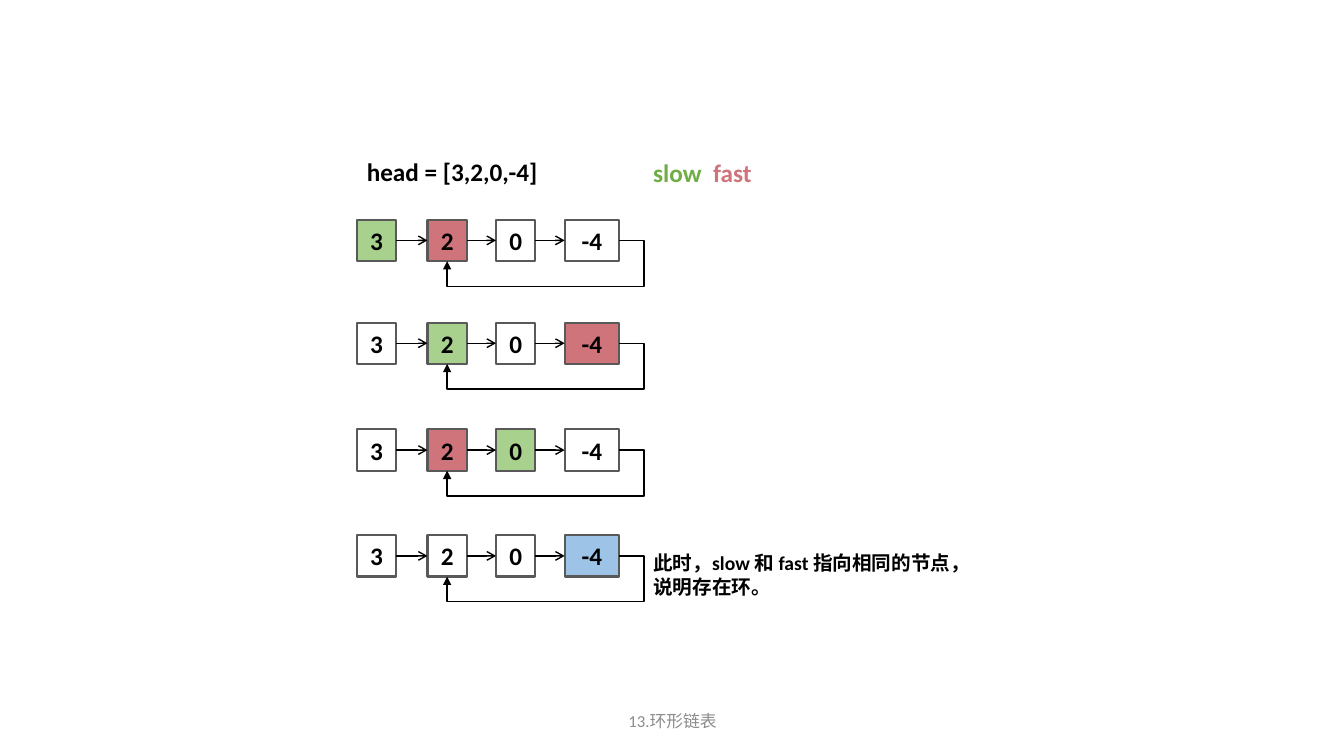
from pptx import Presentation
from pptx.dml.color import RGBColor
from pptx.enum.shapes import MSO_CONNECTOR, MSO_SHAPE
from pptx.enum.text import MSO_ANCHOR, PP_ALIGN
from pptx.oxml.ns import qn
from pptx.util import Inches, Pt
from lxml import etree

RECTANGLE = MSO_SHAPE.RECTANGLE
STRAIGHT, ELBOW = MSO_CONNECTOR.STRAIGHT, MSO_CONNECTOR.ELBOW
CENTER, LEFT = PP_ALIGN.CENTER, PP_ALIGN.LEFT
MIDDLE, TOP = MSO_ANCHOR.MIDDLE, MSO_ANCHOR.TOP
LEFT_SITE, BOTTOM_SITE, RIGHT_SITE = 1, 2, 3

COLORS = {
    "black": "000000", "white": "FFFFFF", "border": "595959", "footer": "8C8C8C",
    "slow": "A9D18E", "fast": "CF747A", "both": "9DC3E6", "slow text": "70AD47",
}

# Value, left and width of each list node
NODES = [("3", 3.54, 0.39), ("2", 4.24, 0.39), ("0", 4.92, 0.39), ("-4", 5.6, 0.54)]
NODE_HEIGHT = 0.41
# Top of each step and the marked nodes by position
STEPS = [
    (2.18, {0: "slow", 1: "fast"}),
    (3.2, {1: "slow", 3: "fast"}),
    (4.26, {1: "fast", 2: "slow"}),
    (5.31, {3: "both"}),
]
# Bends of the link that closes the ring
RING_BENDS = {"adj1": -14600, "adj2": 221800}


def color(name):
    return RGBColor.from_string(COLORS[name])


def write(shape, spans, size, bold=True, align=LEFT, anchor=TOP):
    """Fill a shape with one paragraph of (text, colour) spans."""
    frame = shape.text_frame
    frame.word_wrap = True
    frame.vertical_anchor = anchor
    para = frame.paragraphs[0]
    para.alignment = align
    for text, color_name in spans:
        span = para.add_run()
        span.text = text
        span.font.name = "Calibri"
        span.font.size = Pt(size)
        span.font.bold = bold
        span.font.color.rgb = color(color_name)


def add_label(page, left, top, width, height, spans, size, **style):
    box = page.shapes.add_textbox(
        Inches(left), Inches(top), Inches(width), Inches(height))
    write(box, spans, size, **style)


def add_node(page, left, top, width, value, fill):
    node = page.shapes.add_shape(
        RECTANGLE, Inches(left), Inches(top), Inches(width), Inches(NODE_HEIGHT))
    node.shadow.inherit = False
    node.fill.solid()
    node.fill.fore_color.rgb = color(fill)
    node.line.color.rgb = color("border")
    node.line.width = Pt(1.5)
    write(node, [(value, "black")], 18, align=CENTER, anchor=MIDDLE)
    return node


def add_link(page, kind, start, end, end_site, head):
    """Join the right side of one node to a site of another."""
    link = page.shapes.add_connector(kind, 0, 0, 0, 0)
    link.begin_connect(start, RIGHT_SITE)
    link.end_connect(end, end_site)
    link.line.color.rgb = color("black")
    link.line.width = Pt(1)
    etree.SubElement(link.line._get_or_add_ln(), qn("a:tailEnd"), type=head)
    etree.SubElement(link._element.spPr, qn("a:effectLst"))
    return link


def add_ring_link(page, last, target):
    link = add_link(page, ELBOW, last, target, BOTTOM_SITE, "triangle")
    geometry = link._element.spPr.find(qn("a:prstGeom"))
    geometry.set("prst", "bentConnector4")
    guides = geometry.find(qn("a:avLst"))
    for name, value in RING_BENDS.items():
        etree.SubElement(guides, qn("a:gd"), name=name, fmla=f"val {value}")


def add_step(page, top, marks):
    nodes = [add_node(page, left, top, width, value, marks.get(index, "white"))
             for index, (value, left, width) in enumerate(NODES)]
    for start, end in zip(nodes, nodes[1:]):
        add_link(page, STRAIGHT, start, end, LEFT_SITE, "arrow")
    add_ring_link(page, nodes[-1], nodes[1])


def main():
    deck = Presentation()
    deck.slide_width, deck.slide_height = Inches(13.33), Inches(7.5)
    page = deck.slides.add_slide(deck.slide_layouts[6])

    # Heading and legend
    add_label(page, 3.54, 1.5, 2.57, 0.4, [("head = [3,2,0,-4]", "black")], 18)
    add_label(page, 6.38, 1.51, 1.2, 0.41,
              [("slow  ", "slow text"), ("fast", "fast")], 18)

    # Steps of the two pointers
    for top, marks in STEPS:
        add_step(page, top, marks)

    # Conclusion and footer
    add_label(page, 6.38, 5.42, 3.4, 0.57,
              [("此时，slow 和 fast 指向相同的节点，说明存在环。", "black")], 14)
    add_label(page, 4.42, 6.95, 4.5, 0.4, [("13.环形链表", "footer")], 12,
              bold=False, align=CENTER, anchor=MIDDLE)

    deck.save("out.pptx")


if __name__ == "__main__":
    main()
